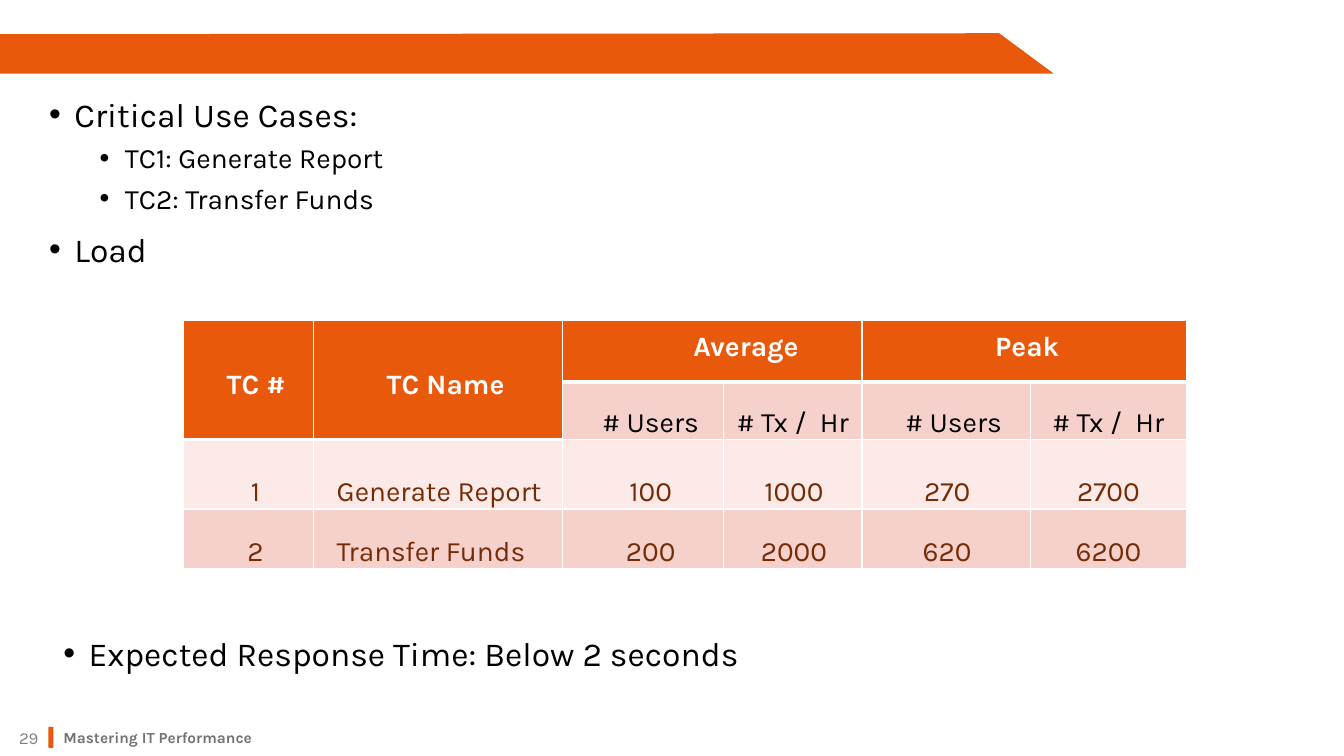
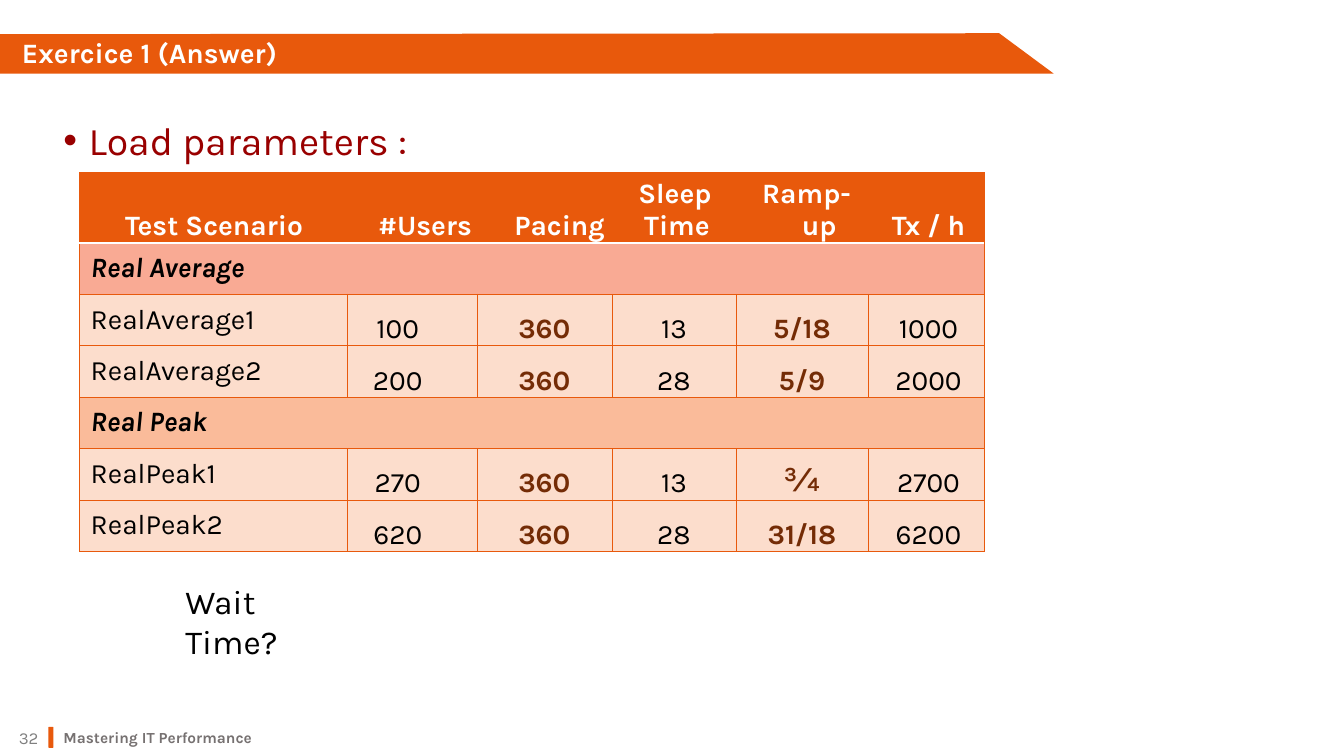
from dataclasses import dataclass
from functools import partial
from typing import NamedTuple, Optional

from lxml.etree import SubElement
from pptx import Presentation
from pptx.dml.color import RGBColor
from pptx.enum.shapes import MSO_SHAPE as Kind
from pptx.enum.text import MSO_ANCHOR as Anchor, PP_ALIGN as Align
from pptx.oxml.ns import qn
from pptx.util import Inches, Pt

FONT = "Karla"
ORANGE, WHITE, BLACK = "E8590C", "FFFFFF", "000000"
BROWN, RED, GREY, SLATE = "742C06", "990000", "808080", "767171"
PALE, ROSE = "FBEAE7", "F6D1CC"
PEACH, CORAL, APRICOT = "FCDDCC", "F9AA94", "FABB9A"


@dataclass
class Para:
    text: str
    size: float = 24
    color: str = BLACK
    bold: bool = False
    italic: bool = False
    align: Align = Align.LEFT
    left: float = 0
    first: float = 0
    before: float = 0
    lines: Optional[float] = None
    bullet: bool = False


@dataclass
class Cell:
    para: Para
    fill: str
    anchor: Anchor = Anchor.BOTTOM
    top: float = 0
    right: float = 0
    rows: int = 1
    cols: int = 1
    foot: float = 0  # width of the white rule below, in points


class Line(NamedTuple):
    color: str
    width: float


Grid = list[list[Optional[Cell]]]


def rgb(code: str) -> RGBColor:
    return RGBColor.from_string(code)


def paint(shape) -> None:
    """Give a shape the flat accent colour."""
    shape.shadow.inherit = False
    shape.fill.solid()
    shape.fill.fore_color.rgb = rgb(ORANGE)
    shape.line.fill.background()


def write(par, item: Para) -> None:
    """Fill one paragraph with its text and style."""
    par.add_run().text = item.text
    par.alignment = item.align
    par.space_before = Pt(item.before)
    if item.lines:
        par.line_spacing = item.lines
    props = par._p.get_or_add_pPr()
    props.set("marL", str(Inches(item.left)))
    props.set("indent", str(Inches(item.first)))
    if item.bullet:
        SubElement(props, qn("a:buFont")).set("typeface", "Arial")
        SubElement(props, qn("a:buChar")).set("char", "•")
    font = par.font
    font.name, font.size = FONT, Pt(item.size)
    font.bold, font.italic = item.bold, item.italic
    font.color.rgb = rgb(item.color)


def add_text(slide, box: tuple, *items: Para, anchor: Anchor = Anchor.TOP) -> None:
    frame = slide.shapes.add_textbox(*map(Inches, box)).text_frame
    frame.word_wrap = True
    frame.vertical_anchor = anchor
    for i, item in enumerate(items):
        write(frame.add_paragraph() if i else frame.paragraphs[0], item)


def add_edges(cell, lines: dict[str, Line]) -> None:
    """Draw cell borders, given in the order L, R, T, B."""
    props = cell._tc.get_or_add_tcPr()
    for i, (side, line) in enumerate(lines.items()):
        edge = SubElement(props, qn(f"a:ln{side}"))
        edge.set("w", str(Pt(line.width)))
        solid = SubElement(edge, qn("a:solidFill"))
        SubElement(solid, qn("a:srgbClr")).set("val", line.color)
        props.insert(i, edge)


def add_grid(slide, left: float, top: float, cols: list[float],
             rows: list[float], grid: Grid, line: Line) -> None:
    table = slide.shapes.add_table(
        len(rows), len(cols), Inches(left), Inches(top),
        Inches(sum(cols)), Inches(sum(rows))).table
    table.first_row = table.horz_banding = False
    for col, width in zip(table.columns, cols):
        col.width = Inches(width)
    for row, height in zip(table.rows, rows):
        row.height = Inches(height)

    owner, feet = {}, {}
    for r, items in enumerate(grid):
        for c, item in enumerate(items):
            if item is None:
                continue
            end, last = r + item.rows - 1, c + item.cols - 1
            for y in range(r, end + 1):
                for x in range(c, last + 1):
                    owner[y, x] = item
            if item.foot:
                feet.update({(end, x): Line(WHITE, item.foot)
                             for x in range(c, last + 1)})
            cell = table.cell(r, c)
            if (end, last) != (r, c):
                cell.merge(table.cell(end, last))
            write(cell.text_frame.paragraphs[0], item.para)

    for (r, c), item in owner.items():
        cell = table.cell(r, c)
        cell.vertical_anchor = item.anchor
        cell.margin_left = cell.margin_bottom = 0
        cell.margin_top, cell.margin_right = Inches(item.top), Inches(item.right)
        cell.fill.solid()
        cell.fill.fore_color.rgb = rgb(item.fill)
        add_edges(cell, {"L": line, "R": line,
                         "T": feet.get((r - 1, c), line),
                         "B": feet.get((r, c), line)})


def add_page(deck, number: int, title: str = ""):
    """Add a slide with the band, the title and the footer."""
    slide = deck.slides.add_slide(deck.slide_layouts[6])
    band = slide.shapes.build_freeform(0, Inches(0.34))
    band.add_line_segments([(Inches(x), Inches(y)) for x, y in
                            ((9.91, 0.33), (10.45, 0.73), (0, 0.73))])
    paint(band.convert_to_shape())
    paint(slide.shapes.add_shape(Kind.ROUNDED_RECTANGLE, *map(
        Inches, (0.48, 7.21, 0.05, 0.21))))
    add_text(slide, (0, 7.21, 0.48, 0.21),
             Para(str(number), 12, GREY, align=Align.RIGHT), anchor=Anchor.MIDDLE)
    add_text(slide, (0.53, 7.16, 5.9, 0.3),
             Para("Mastering IT Performance", 11, SLATE, True, before=10, lines=1.5),
             anchor=Anchor.BOTTOM)
    if title:
        add_text(slide, (0.12, 0.38, 9.96, 0.31),
                 Para(title, 20, WHITE, True, lines=0.9), anchor=Anchor.MIDDLE)
    return slide


mid = partial(Para, size=20, align=Align.CENTER)
side = partial(Para, size=20)
head = partial(mid, color=WHITE, bold=True)
point = partial(Para, left=0.25, first=-0.25, before=10, bullet=True)
sub = partial(point, size=20, left=0.75, before=5)


def load_grid() -> Grid:
    top = partial(Cell, fill=ORANGE, anchor=Anchor.TOP, top=0.1, cols=2, foot=3)
    tall = partial(top, anchor=Anchor.MIDDLE, rows=2, cols=1)
    users = Cell(mid("# Users", left=0.15), ROSE)
    rate = Cell(mid("# Tx /  Hr", left=0.15, first=-0.25), ROSE, right=0)
    grid: Grid = [
        [tall(head("TC #", left=0.15)), tall(head("TC Name", left=0.15)),
         top(head("Average", align=Align.RIGHT), right=0.63), None,
         top(head("Peak", left=0.06)), None],
        [None, None, users, rate, users, rate],
    ]
    cases = (("1", "Generate Report", "100", "1000", "270", "2700"),
             ("2", "Transfer Funds", "200", "2000", "620", "6200"))
    lefts = (0.14, 0.23, 0.15, 0.02, 0.02, 0)
    for fill, case in zip((PALE, ROSE), cases):
        grid.append([
            Cell((side if i == 1 else mid)(text, color=BROWN, left=left), fill)
            for i, (text, left) in enumerate(zip(case, lefts))])
    return grid


def scene_grid() -> Grid:
    top = partial(Cell, fill=ORANGE, foot=1)
    name = partial(Cell, anchor=Anchor.TOP, top=0.09)
    body = partial(Cell, fill=PEACH)

    def group(text: str, fill: str) -> list[Optional[Cell]]:
        label = side(text, bold=True, italic=True, left=0.11)
        return [name(label, fill, cols=7)] + [None] * 6

    def test(text: str, users: str, sleep: str, ramp: str, rate: str,
             size: float = 20) -> list[Optional[Cell]]:
        return [name(side(text, left=0.11), PEACH),
                body(mid(users), right=0.28),
                body(mid("360", color=BROWN, bold=True), cols=2), None,
                body(mid(sleep)),
                body(mid(ramp, size=size, color=BROWN, bold=True)),
                body(mid(rate, left=0.05))]

    return [
        [top(head("Test Scenario", align=Align.LEFT, left=0.45)),
         top(head("#Users", left=0.14), cols=2), None,
         top(head("Pacing", left=0.18)),
         top(head("Sleep Time", left=0.27, first=-0.04), right=0.21),
         top(head("Ramp- up", left=0.48, first=-0.25), right=0.14),
         top(head("Tx / h", left=0.05))],
        group("Real Average", CORAL),
        test("RealAverage1", "100", "13", "5/18", "1000"),
        test("RealAverage2", "200", "28", "5/9", "2000"),
        group("Real Peak", APRICOT),
        test("RealPeak1", "270", "13", "¾", "2700", size=24),
        test("RealPeak2", "620", "28", "31/18", "6200"),
    ]


def main() -> None:
    deck = Presentation()
    deck.slide_width, deck.slide_height = Inches(13.33), Inches(7.5)

    load = add_page(deck, 29)
    add_text(load, (0.39, 0.88, 6.04, 1.89),
             point("Critical Use Cases:"), sub("TC1: Generate Report"),
             sub("TC2: Transfer Funds"), point("Load"))
    add_grid(load, 1.82, 3.18, [1.29, 2.47, 1.6, 1.37, 1.67, 1.55],
             [0.61, 0.57, 0.69, 0.59], load_grid(), Line(WHITE, 1))
    add_text(load, (0.53, 6.03, 8.77, 0.72),
             point("Expected Response Time: Below 2 seconds", lines=1.5))

    answer = add_page(deck, 32, "Exercice 1 (Answer)")
    add_text(answer, (0.53, 0.87, 8.76, 0.86),
             point("Load parameters :", size=28, color=RED, lines=1.5))
    add_grid(answer, 0.79, 1.71, [2.65, 1.29, 0.12, 1.22, 1.23, 1.31, 1.15],
             [0.7] + [0.51] * 6, scene_grid(), Line(ORANGE, 0.5))
    add_text(answer, (1.73, 5.71, 1.33, 0.5),
             Para("Wait Time?", left=0.01, before=1.1))

    deck.save("out.pptx")


if __name__ == "__main__":
    main()
